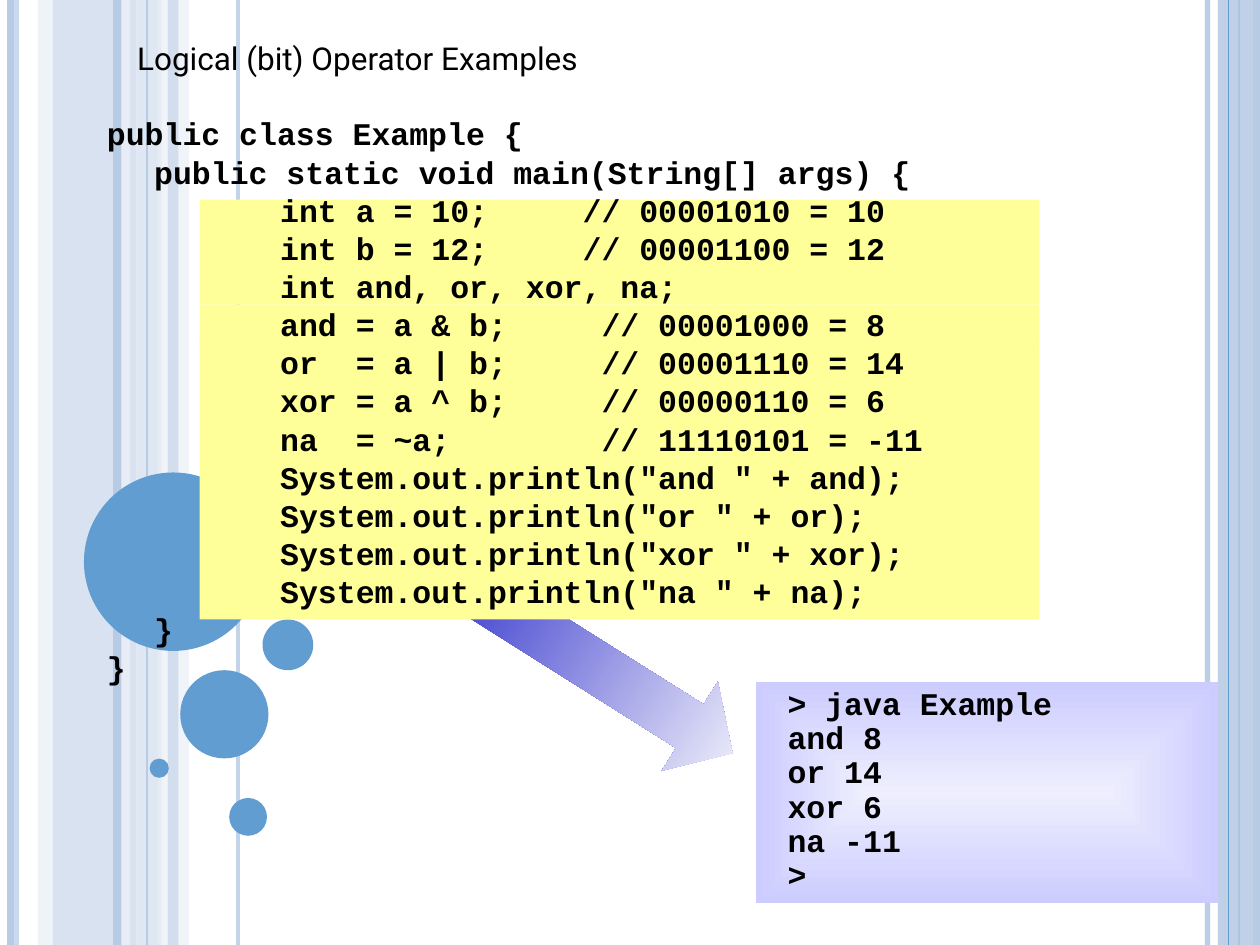
from lxml import etree
from pptx import Presentation
from pptx.dml.color import RGBColor
from pptx.enum.shapes import MSO_CONNECTOR, MSO_SHAPE
from pptx.enum.text import MSO_ANCHOR, PP_ALIGN
from pptx.oxml.ns import qn
from pptx.util import Pt

RECT, OVAL, ARROW = MSO_SHAPE.RECTANGLE, MSO_SHAPE.OVAL, MSO_SHAPE.RIGHT_ARROW
STRAIGHT = MSO_CONNECTOR.STRAIGHT
TOP, MIDDLE = MSO_ANCHOR.TOP, MSO_ANCHOR.MIDDLE
LEFT = PP_ALIGN.LEFT

PAGE_WIDTH, PAGE_HEIGHT = 720, 540
BLUE, PALE, MIST, SKY = "B7CBE4", "D2DEED", "EAEFF6", "629DD1"
YELLOW, BLACK = "FFFF99", "000000"

CODE_FONT = {"name": "Courier New", "size": Pt(18), "bold": True}
TITLE_FONT = {"name": "Roboto", "size": Pt(18), "bold": False}

# Vertical decoration, back to front
# Line: x, weight, colour, opacity. Band: left, width, colour, opacity.
STRIPES = [
    ("line", 690, 3, BLUE, 93),
    ("line", 6, 4.5, BLUE, 100),
    ("line", 708, 1.5, SKY, 100),
    ("band", 696, 24, BLUE, 87),
    ("line", 702, 0.75, SKY, 100),
    ("band", 30, 48, BLUE, 54),
    ("band", 21.6, 8, PALE, 36),
    ("band", 78, 14.4, PALE, 70),
    ("band", 90, 18, MIST, 71),
    ("line", 8.6, 4.5, BLUE, 73),
    ("line", 72, 4.5, MIST, 83),
    ("line", 67, 4.5, BLUE, 100),
    ("line", 136, 2.25, BLUE, 82),
    ("line", 84, 0.75, BLUE, 100),
    ("line", 718, 4.5, BLUE, 100),
    ("band", 96, 6, BLUE, 51),
]

# Left, top, diameter
BUBBLES = [(48, 270, 102), (103, 383, 50.4), (85.5, 433.5, 11),
           (131, 456, 21.6), (150, 354, 29)]

# Top and height of the strips behind the statements
STRIPS = [(240, 24), (192, 24), (114, 60), (174, 24), (216, 24), (264, 90)]

# Left margin for each nesting depth, and the program as (depth, line)
CODE_MARGINS = [0, 27, 99]
CODE = [
    (0, "public class Example {"),
    (1, "public static void main(String[] args) {"),
    (2, "int a = 10;     // 00001010 = 10"),
    (2, "int b = 12;     // 00001100 = 12"),
    (2, "int and, or, xor, na;"),
    (2, "and = a & b;     // 00001000 = 8"),
    (2, "or  = a | b;     // 00001110 = 14"),
    (2, "xor = a ^ b;     // 00000110 = 6"),
    (2, "na  = ~a;        // 11110101 = -11"),
    (2, 'System.out.println("and " + and);'),
    (2, 'System.out.println("or " + or);'),
    (2, 'System.out.println("xor " + xor);'),
    (2, 'System.out.println("na " + na);'),
    (1, "}"),
    (0, "}"),
]
OUTPUT = ["> java Example", "and 8", "or 14", "xor 6", "na -11", ">"]


def color(value):
    return RGBColor.from_string(value)


def set_opacity(shape, percent):
    if percent < 100:
        for node in shape._element.spPr.iter(qn("a:srgbClr")):
            etree.SubElement(node, qn("a:alpha")).set("val", str(percent * 1000))


def add_block(page, kind, box, fill=None, opacity=100):
    shape = page.shapes.add_shape(kind, *map(Pt, box))
    shape.shadow.inherit = False
    shape.line.fill.background()
    if fill:
        shape.fill.solid()
        shape.fill.fore_color.rgb = color(fill)
        set_opacity(shape, opacity)
    return shape


def add_line(page, x, weight, stroke, opacity):
    line = page.shapes.add_connector(STRAIGHT, Pt(x), 0, Pt(x), Pt(PAGE_HEIGHT))
    line.line.width = Pt(weight)
    line.line.color.rgb = color(stroke)
    set_opacity(line, opacity)
    etree.SubElement(line._element.spPr, qn("a:effectLst"))


def set_gradient(shape, colors):
    shape.fill.gradient()
    shape.fill.gradient_angle = 0
    for stop, value in zip(shape.fill.gradient_stops, colors):
        stop.color.rgb = color(value)


def write(shape, lines, font, spacing=1.0, before=0, anchor=TOP, inset=7.2):
    """Write (left margin, text) lines into a shape."""
    frame = shape.text_frame
    layout = {"word_wrap": True, "vertical_anchor": anchor,
              "margin_left": Pt(inset), "margin_right": Pt(7.2),
              "margin_top": Pt(3.6), "margin_bottom": Pt(3.6)}
    for key, value in layout.items():
        setattr(frame, key, value)
    for index, (margin, text) in enumerate(lines):
        para = frame.paragraphs[0] if index == 0 else frame.add_paragraph()
        para.alignment = LEFT
        para.line_spacing = spacing
        para.space_before = Pt(before)
        para._p.get_or_add_pPr().set("marL", str(Pt(margin)))
        span = para.add_run()
        span.text = text
        for key, value in font.items():
            setattr(span.font, key, value)
        span.font.color.rgb = color(BLACK)


def add_backdrop(page):
    for kind, x, size, fill, opacity in STRIPES:
        if kind == "line":
            add_line(page, x, size, fill, opacity)
        else:
            add_block(page, RECT, (x, 0, size, PAGE_HEIGHT), fill, opacity)
    for left, top, diameter in BUBBLES:
        add_block(page, OVAL, (left, top, diameter, diameter), SKY)


def add_title(page, box):
    title = page.shapes.add_textbox(*map(Pt, box))
    write(title, [(17.3, "Logical (bit) Operator Examples")], TITLE_FONT,
          anchor=MIDDLE)


def add_arrow(page, box):
    arrow = add_block(page, ARROW, box)
    arrow.rotation = 32.2
    arrow.adjustments[0], arrow.adjustments[1] = 0.49, 0.48
    set_gradient(arrow, ["3333CC", "FEFEFE"])


def add_code(page, box):
    for top, height in STRIPS:
        add_block(page, RECT, (114, top, 480, height), YELLOW)
    code = page.shapes.add_textbox(*map(Pt, box))
    lines = [(CODE_MARGINS[depth], text) for depth, text in CODE]
    write(code, lines, CODE_FONT, spacing=0.8, before=4.5)


def add_output(page, box):
    panel = add_block(page, RECT, box)
    set_gradient(panel, ["EEEEFE", "CCCCFF"])
    # Spread the gradient from the centre of the panel
    gradient = panel._element.spPr.find(qn("a:gradFill"))
    linear = gradient.find(qn("a:lin"))
    spread = etree.Element(qn("a:path"), {"path": "rect"})
    centre = etree.SubElement(spread, qn("a:fillToRect"))
    for side in "ltrb":
        centre.set(side, "50000")
    gradient.replace(linear, spread)
    write(panel, [(0, text) for text in OUTPUT], CODE_FONT, spacing=0.9, inset=18)


def main():
    deck = Presentation()
    deck.slide_width, deck.slide_height = Pt(PAGE_WIDTH), Pt(PAGE_HEIGHT)
    page = deck.slides.add_slide(deck.slide_layouts[6])
    add_backdrop(page)
    add_title(page, (54, 12, 612, 42))
    add_arrow(page, (258, 354, 174, 60))
    add_code(page, (54, 66, 492, 348))
    add_output(page, (432, 390, 264, 126))
    deck.save("out.pptx")


if __name__ == "__main__":
    main()
